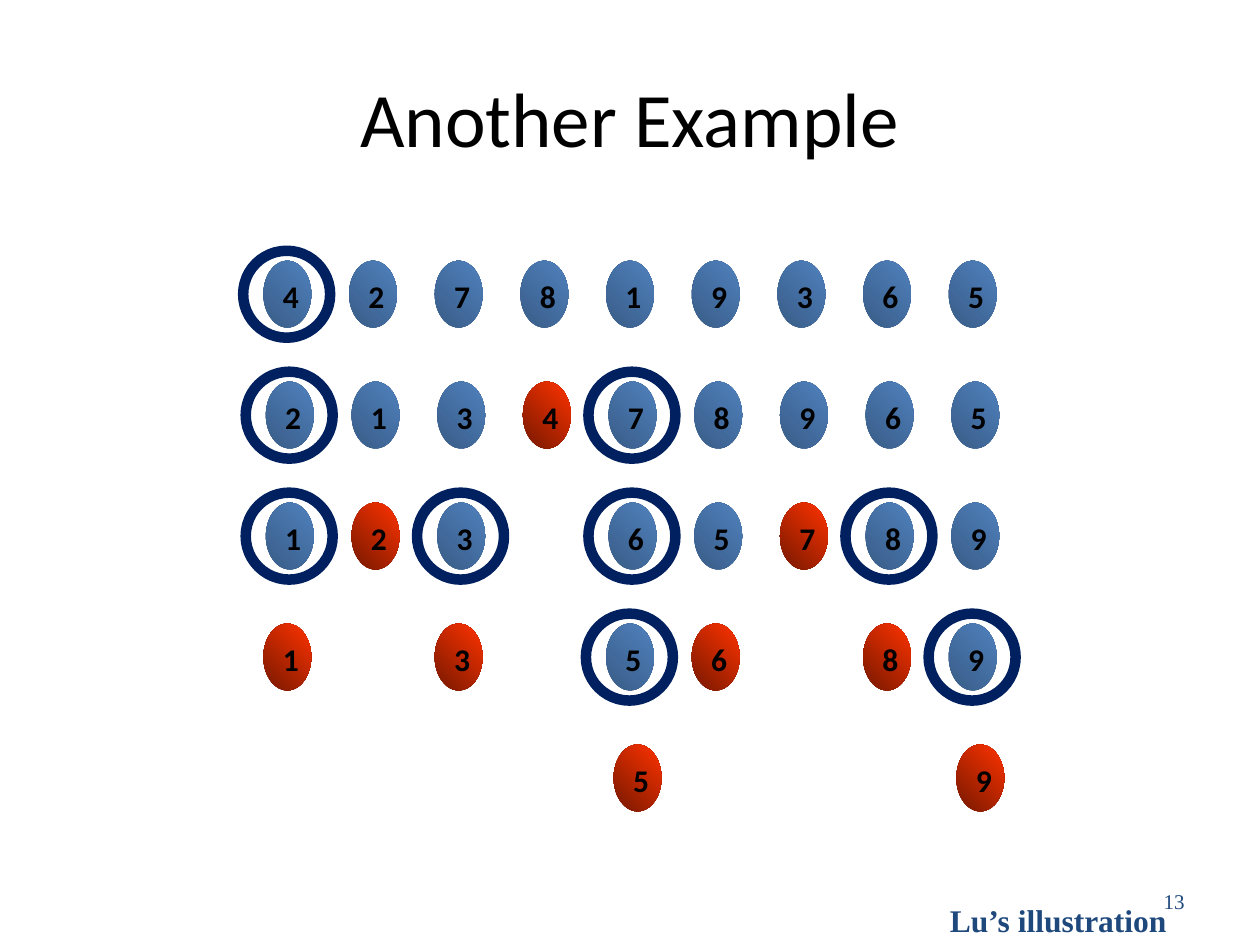
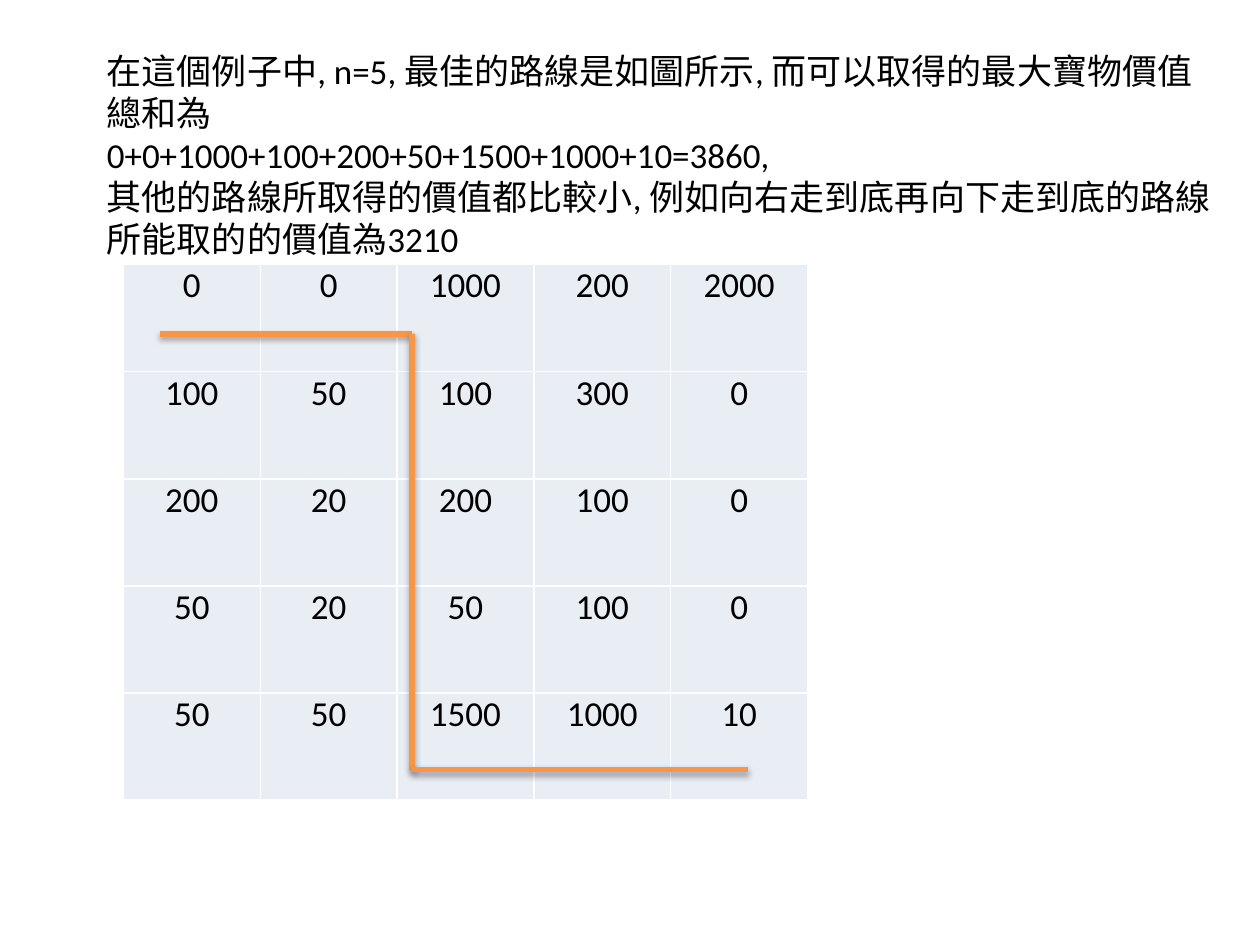
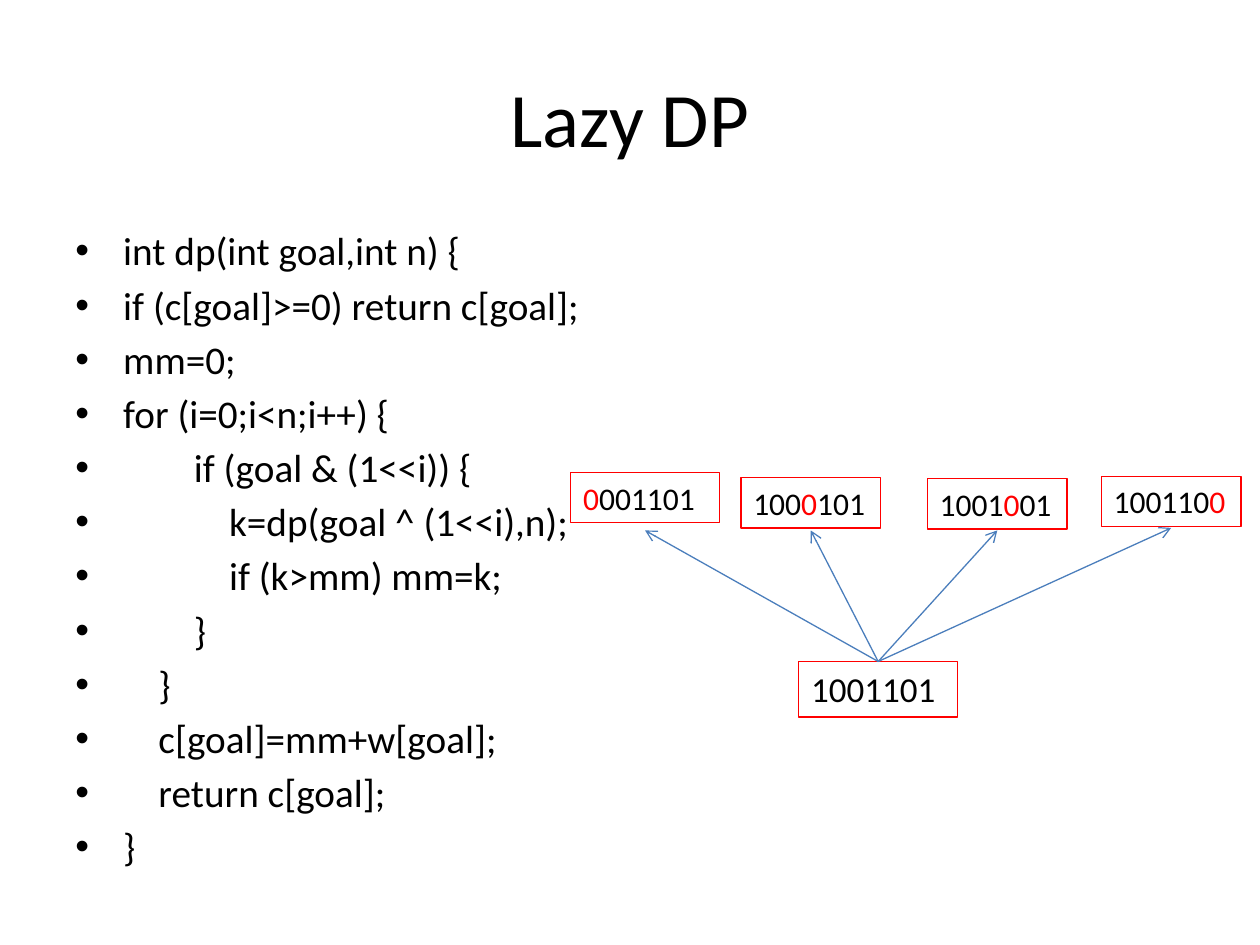
from lxml import etree
from pptx import Presentation
from pptx.dml.color import RGBColor
from pptx.enum.shapes import MSO_CONNECTOR, MSO_SHAPE
from pptx.enum.text import MSO_ANCHOR, MSO_AUTO_SIZE, PP_ALIGN
from pptx.oxml import parse_xml
from pptx.oxml.ns import nsdecls, qn
from pptx.util import Inches, Pt

OVAL = MSO_SHAPE.OVAL
STRAIGHT = MSO_CONNECTOR.STRAIGHT
TOP, MIDDLE = MSO_ANCHOR.TOP, MSO_ANCHOR.MIDDLE
LEFT, CENTER, RIGHT = PP_ALIGN.LEFT, PP_ALIGN.CENTER, PP_ALIGN.RIGHT
GROW = MSO_AUTO_SIZE.SHAPE_TO_FIT_TEXT

BODY_FONT, FOOTER_FONT = "Calibri", "Times New Roman"
BLACK, WHITE, RED = "000000", "FFFFFF", "FF0000"
FOOTER_BLUE, RING_NAVY, ARROW_BLUE = "1F497D", "002060", "4B7EBC"
ROUTE_ORANGE, CELL_TINT = "F79646", "E9EDF4"
OPEN_GRADIENT = ("395C87", "4F81BD")
SETTLED_GRADIENT = ("761800", "FF3300")

COLUMN_STEP, ROW_STEP, FIRST_ROW = 0.68, 0.96, 2.07
SORT_ROWS = [
    (2.09, "427819365", "", "4"),
    (2.11, "213478965", "4", "27"),
    (2.11, "123.65789", "27", "1368"),
    (2.09, "1.3.56.89", "1368", "59"),
    (2.15, "....5...9", "59", ""),
]
TREASURES = [
    (0, 0, 1000, 200, 2000),
    (100, 50, 100, 300, 0),
    (200, 20, 200, 100, 0),
    (50, 20, 50, 100, 0),
    (50, 50, 1500, 1000, 10),
]
ROUTE = [(1.27, 2.65), (3.27, 2.65), (3.27, 6.11), (5.94, 6.11)]
EXPLANATION = [
    "在這個例子中, n=5, 最佳的路線是如圖所示, 而可以取得的最大寶物價值總和為",
    "0+0+1000+100+200+50+1500+1000+10=3860, ",
    "其他的路線所取得的價值都比較小, 例如向右走到底再向下走到底的路線所能取的的價值為3210",
]
CODE = [
    (0, "int dp(int goal,int n) {"),
    (0, "if (c[goal]>=0) return c[goal];"),
    (0, "mm=0;"),
    (0, "for (i=0;i<n;i++) {"),
    (2, "if (goal & (1<<i)) {"),
    (3, "k=dp(goal ^ (1<<i),n);"),
    (3, "if (k>mm) mm=k;"),
    (2, "}"),
    (1, "}"),
    (1, "c[goal]=mm+w[goal];"),
    (1, "return c[goal];"),
    (0, "}"),
]
GOAL = "1001101"
SUBGOALS = [
    (4.53, 3.75, 1.18, 0, 4.21),
    (5.88, 3.79, 1.11, 3, 4.21),
    (7.36, 3.8, 1.11, 4, 4.21),
    (8.74, 3.78, 1.11, 6, 4.19),
]


def rgb(value):
    """Turn a hex string into a colour."""
    return RGBColor.from_string(value)


def inches(values):
    """Turn several numbers into lengths."""
    return [Inches(value) for value in values]


def apply_format(target, values):
    """Set every attribute named in a dict."""
    for name, value in values.items():
        setattr(target, name, value)


def write(frame, lines, size, color=BLACK, font=BODY_FONT, bold=False,
          align=LEFT, before=None):
    """Fill a text frame; a line is a string or a list of coloured runs."""
    for number, line in enumerate(lines):
        paragraph = frame.paragraphs[0] if number == 0 else frame.add_paragraph()
        apply_format(paragraph, {"alignment": align, "space_before": before})
        for text, tint in [(line, color)] if isinstance(line, str) else line:
            run = paragraph.add_run()
            run.text = text
            apply_format(run.font, {"size": Pt(size), "name": font, "bold": bold})
            run.font.color.rgb = rgb(tint)


def add_text(slide, place, lines, size, anchor=TOP, **style):
    """Add a wrapping text box."""
    box = slide.shapes.add_textbox(*inches(place))
    apply_format(box.text_frame, {"word_wrap": True, "vertical_anchor": anchor})
    write(box.text_frame, lines, size, **style)
    return box


def add_title(slide, text):
    """Add the shared slide title."""
    add_text(slide, (0.5, 0.3, 9, 1.25), [text], 44, MIDDLE, align=CENTER)


def add_oval(slide, place):
    """Add an ellipse without a shadow."""
    oval = slide.shapes.add_shape(OVAL, *inches(place))
    oval.shadow.inherit = False
    return oval


def add_disc(slide, left, top, digit, gradient):
    """Add a numbered disc with a diagonal gradient."""
    disc = add_oval(slide, (left, top, 0.38, 0.53))
    disc.line.fill.background()
    disc.fill.gradient()
    disc.fill.gradient_angle = 45
    for stop, tint in zip(disc.fill.gradient_stops, gradient):
        stop.color.rgb = rgb(tint)
    apply_format(disc.text_frame, {"word_wrap": False, "auto_size": GROW,
                                   "vertical_anchor": TOP})
    write(disc.text_frame, [digit], 18, bold=True)


def add_pivot_ring(slide, left, top):
    """Add the ring that marks a pivot."""
    ring = add_oval(slide, (left, top, 0.69, 0.69))
    ring.fill.background()
    ring.line.color.rgb = rgb(RING_NAVY)
    ring.line.width = Pt(6)


def add_line(slide, start, end, color, width, arrow=False, shadow=False):
    """Add a straight line, with an arrowhead or a shadow on request."""
    line = slide.shapes.add_connector(STRAIGHT, *inches(start + end))
    line.line.color.rgb = rgb(color)
    line.line.width = Pt(width)
    properties = line._element.spPr
    if arrow:
        etree.SubElement(properties.find(qn("a:ln")), qn("a:tailEnd"), type="arrow")
    effects = etree.SubElement(properties, qn("a:effectLst"))
    if shadow:
        effects.append(parse_xml(
            f'<a:outerShdw {nsdecls("a")} blurRad="40000" dist="23000" '
            'dir="5400000" rotWithShape="0"><a:srgbClr val="000000">'
            '<a:alpha val="35000"/></a:srgbClr></a:outerShdw>'))


def format_cell(cell, value):
    """Write one treasure value in a tinted cell with white borders."""
    apply_format(cell, {"margin_left": Inches(0.02), "margin_right": Inches(0.02),
                        "margin_top": 0, "margin_bottom": 0})
    write(cell.text_frame, [str(value)], 20, align=CENTER)
    for side in "LRTB":
        cell._tc.get_or_add_tcPr().append(parse_xml(
            f'<a:ln{side} {nsdecls("a")} w="12700"><a:solidFill>'
            f'<a:srgbClr val="{WHITE}"/></a:solidFill></a:ln{side}>'))
    cell.fill.solid()
    cell.fill.fore_color.rgb = rgb(CELL_TINT)


def add_treasure_table(slide):
    """Add the grid of treasure values."""
    place = inches((0.98, 2.1, 5.43, 4.25))
    table = slide.shapes.add_table(len(TREASURES), len(TREASURES[0]), *place).table
    apply_format(table, {"first_row": False, "horz_banding": False})
    for row, values in enumerate(TREASURES):
        for column, value in enumerate(values):
            format_cell(table.cell(row, column), value)


def add_bits_box(slide, place, runs, size):
    """Add a red-framed box holding a bit string."""
    box = add_text(slide, place, [runs], size)
    box.text_frame.auto_size = GROW
    box.line.color.rgb = rgb(RED)
    box.line.width = Pt(0.75)


def add_code(slide):
    """Add the bulleted code, indented by nesting level."""
    box = add_text(slide, (0.5, 1.75, 4.97, 4.95), [text for _, text in CODE],
                   22.4, before=Pt(4.1))
    for (level, _), paragraph in zip(CODE, box.text_frame.paragraphs):
        margin = Inches(0.38 + 0.28 * level)
        properties = paragraph._p.get_or_add_pPr()
        properties.set("marL", str(margin))
        properties.set("indent", str(-margin))
        etree.SubElement(properties, qn("a:buFont"), typeface="Arial")
        etree.SubElement(properties, qn("a:buChar"), char="•")


def build_sorting(slide):
    """Show the quicksort passes row by row."""
    add_text(slide, (7.17, 6.95, 2.33, 0.4), ["13"], 12, MIDDLE,
             color=FOOTER_BLUE, font=FOOTER_FONT, align=RIGHT)
    add_title(slide, "Another Example")
    for row, (first_left, digits, settled, pivots) in enumerate(SORT_ROWS):
        top = FIRST_ROW + row * ROW_STEP
        for column, digit in enumerate(digits):
            if digit == ".":
                continue
            left = first_left + column * COLUMN_STEP
            gradient = SETTLED_GRADIENT if digit in settled else OPEN_GRADIENT
            add_disc(slide, left, top, digit, gradient)
            if digit in pivots:
                add_pivot_ring(slide, left - 0.16, top - 0.08)
    add_text(slide, (7.44, 7.1, 2.05, 0.4), ["Lu’s illustration"], 18,
             color=FOOTER_BLUE, font=FOOTER_FONT, bold=True, before=Pt(9))


def build_treasure(slide):
    """Show the treasure grid with its best route."""
    add_treasure_table(slide)
    for start, end in zip(ROUTE, ROUTE[1:]):
        add_line(slide, start, end, ROUTE_ORANGE, 3, shadow=True)
    add_text(slide, (0.75, 0.34, 8.96, 2.12), EXPLANATION, 20)


def build_lazy_dp(slide):
    """Show the recursive code and the subgoals of one goal."""
    add_title(slide, "Lazy DP")
    add_code(slide)
    add_bits_box(slide, (6.34, 5.25, 1.26, 0.44), [(GOAL, BLACK)], 20)
    for left, top, width, cleared, tip in SUBGOALS:
        parts = [(GOAL[:cleared], BLACK), ("0", RED), (GOAL[cleared + 1:], BLACK)]
        runs = [part for part in parts if part[0]]
        add_bits_box(slide, (left, top, width, 0.4), runs, 18)
        add_line(slide, (6.97, 5.25), (left + width / 2, tip), ARROW_BLUE, 0.75,
                 arrow=True)


def main():
    """Build and save the presentation."""
    deck = Presentation()
    apply_format(deck, {"slide_width": Inches(10), "slide_height": Inches(7.5)})
    for build in (build_sorting, build_treasure, build_lazy_dp):
        build(deck.slides.add_slide(deck.slide_layouts[6]))
    deck.save("out.pptx")


main()
